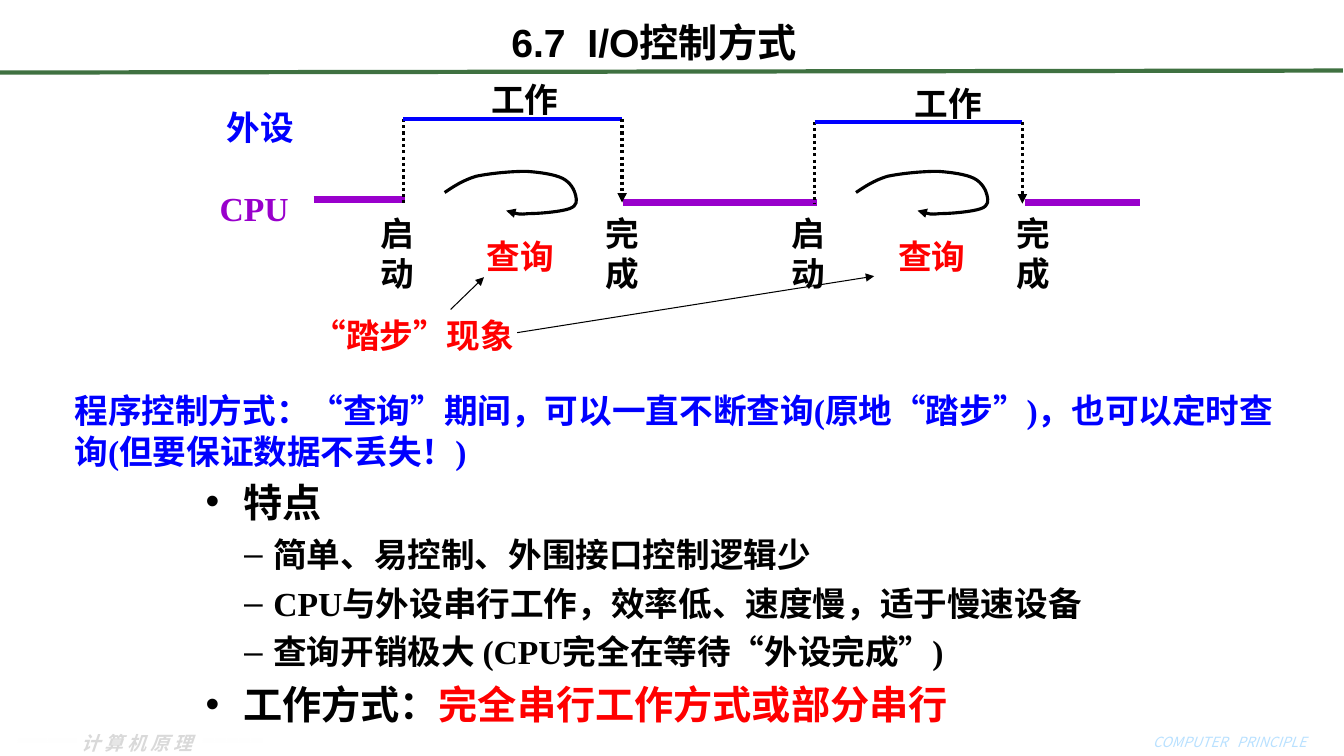
"""Build the slide on program-controlled I/O with its polling timing diagram."""
import lxml.etree
import pptx
import pptx.dml.color
import pptx.enum.dml
import pptx.enum.lang
import pptx.enum.shapes
import pptx.enum.text
import pptx.oxml.ns
import pptx.util

TITLE = "6.7  I/O控制方式"
SUMMARY = "程序控制方式：“查询”期间，可以一直不断查询(原地“踏步”)，也可以定时查询(但要保证数据不丢失！)"
FEATURES = [
    (0, [("特点", "ink")]),
    (1, [("简单、易控制、外围接口控制逻辑少", "ink")]),
    (1, [("CPU与外设串行工作，效率低、速度慢，适于慢速设备", "ink")]),
    (1, [("查询开销极大 (CPU完全在等待“外设完成”)", "ink")]),
    (0, [("工作方式：", "ink"), ("完全串行工作方式或部分串行", "alert")]),
]
LANES = [("外设", 1.92, 1.01, "device"), ("CPU", 1.86, 1.81, "cpu")]
CYCLES = [
    {"start": 4.0, "finish": 6.17, "high": 1.18, "low": 2.01, "work": (4.39, 0.73)},
    {"start": 8.08, "finish": 10.14, "high": 1.21, "low": 2.02, "work": (8.59, 0.77)},
]
CYCLE_LABELS = [
    ("启动", -0.44, 2.06, 0.76, 0.91, "ink"),
    ("查询", 0.47, 2.29, 1.38, 0.5, "alert"),
    ("完成", 1.82, 2.06, 0.7, 0.91, "ink"),
]
CPU_BUSY = [(3.11, 4.02, 1.98), (6.18, 8.1, 2.01), (10.17, 11.31, 2.01)]
POLL_LOOP = [
    (0, 0.21), (0.09, 0.15), (0.18, 0.09), (0.31, 0.05),
    (0.45, 0.02), (0.66, 0), (0.81, 0), (0.95, 0.01), (1.09, 0.03), (1.17, 0.07),
    (1.25, 0.11), (1.29, 0.19), (1.3, 0.24), (1.31, 0.29), (1.32, 0.34), (1.24, 0.37),
    (1.16, 0.4), (0.94, 0.42), (0.83, 0.42), (0.73, 0.43), (0.67, 0.41), (0.61, 0.39),
]
MARKING_TIME = "“踏步”现象"
POINTERS = [((4.47, 3.07), (4.8, 2.75)), ((5.13, 3.3), (8.67, 2.74))]
COURSE_BARS = [(2.01, False), (0.17, True)]

THEME = {
    "colours": {"ink": "000000", "alert": "FF0000", "device": "0000FF", "cpu": "9900CC",
                "rule": "3F7141", "course": "D9D9D9", "subject": "B9E1FF", "paper": "FFFFFF"},
    "sizes": {"heading": 28, "label": 24, "course": 13.5, "subject": 10},
    "weights": {"busy": 4.5, "level": 3, "edge": 2.25, "pointer": 0.75},
    "latin": "Times New Roman", "title": "Arial", "asian": "Noto Sans CJK SC",
    "leading": 1.205,
    "course_fade": [(63, "paper", 100), (85, "course", 100), (96, "paper", 100)],
    "bar_fade": [(0, "paper", 0), (100, "paper", 80)],
}
ALIGN = pptx.enum.text.PP_ALIGN
UNIT = pptx.util.Inches(1)
DOTTED = pptx.enum.dml.MSO_LINE.ROUND_DOT
qn = pptx.oxml.ns.qn


def grid(*lengths):
    return [round(length * UNIT) for length in lengths]


def colour(name):
    return pptx.dml.color.RGBColor.from_string(THEME["colours"][name])


def apply(target, formats):
    for attribute, value in formats.items():
        setattr(target, attribute, value)


def child(parent, tag, **attributes):
    return lxml.etree.SubElement(parent, qn(tag), attributes)


def fade(holder, stops, angle):
    solid = holder.find(qn("a:solidFill"))
    gradient = solid.makeelement(qn("a:gradFill"), {"rotWithShape": "1"})
    holder.replace(solid, gradient)
    ramp = child(gradient, "a:gsLst")
    for share, name, opacity in stops:
        stop = child(ramp, "a:gs", pos=str(share * 1000))
        tint = child(stop, "a:srgbClr", val=THEME["colours"][name])
        child(tint, "a:alpha", val=str(opacity * 1000))
    child(gradient, "a:lin", ang=str(angle * 60000), scaled="0")


def write(paragraph, pieces, size, latin="latin", align=ALIGN.LEFT, before=0, **style):
    points = THEME["sizes"][size]
    apply(paragraph, {"alignment": align, "space_before": pptx.util.Pt(before),
                      "line_spacing": pptx.util.Pt(round(points * THEME["leading"], 1))})
    for words, ink in pieces:
        run = paragraph.add_run()
        run.text = words
        apply(run.font, {"size": pptx.util.Pt(points), "name": THEME[latin], "bold": True,
                         "language_id": pptx.enum.lang.MSO_LANGUAGE_ID.SIMPLIFIED_CHINESE, **style})
        run.font.color.rgb = colour(ink)
        child(run.font._element, "a:ea", typeface=THEME["asian"])


def prepare(frame):
    apply(frame, {"word_wrap": True, "auto_size": pptx.enum.text.MSO_AUTO_SIZE.NONE,
                  "vertical_anchor": pptx.enum.text.MSO_ANCHOR.TOP})
    return frame


def place(placeholder, box):
    apply(placeholder, dict(zip(("left", "top", "width", "height"), grid(*box))))
    return prepare(placeholder.text_frame)


def label(slide, words, box, ink, size="label", align=ALIGN.CENTER, **style):
    frame = prepare(slide.shapes.add_textbox(*grid(*box)).text_frame)
    write(frame.paragraphs[0], [(words, ink)], size, align=align, **style)
    return frame


def stroke(outline, ink, weight, dash=None, arrow=False):
    outline.line.color.rgb = colour(ink)
    apply(outline.line, {"width": pptx.util.Pt(THEME["weights"][weight]), "dash_style": dash})
    if arrow:
        child(outline._element.spPr.find(qn("a:ln")), "a:tailEnd", type="triangle")


def connect(slide, begin, end, ink, weight, **style):
    straight = pptx.enum.shapes.MSO_CONNECTOR.STRAIGHT
    edge = slide.shapes.add_connector(straight, *grid(*begin, *end))
    stroke(edge, ink, weight, **style)
    child(edge._element.spPr, "a:effectLst")


def draw_poll(slide, left, top):
    points = [grid(left + x, top + y) for x, y in POLL_LOOP]
    builder = slide.shapes.build_freeform(*points[0])
    builder.add_line_segments(points[1:], close=False)
    poll = builder.convert_to_shape()
    poll.shadow.inherit = False
    poll.fill.background()
    stroke(poll, "ink", "edge", arrow=True)
    segments = list(poll._element.iter(qn("a:lnTo")))
    outline = segments[0].getparent()
    for first in range(0, len(segments), 3):
        bend = child(outline, "a:cubicBezTo")
        for segment in segments[first:first + 3]:
            bend.append(segment[0])
            outline.remove(segment)


def draw_cycle(slide, cycle):
    start, finish, high, low = (cycle[key] for key in ("start", "finish", "high", "low"))
    connect(slide, (start, high), (start, low), "ink", "edge", dash=DOTTED)
    connect(slide, (start, high), (finish, high), "device", "level")
    connect(slide, (finish, high), (finish, low), "ink", "edge", dash=DOTTED, arrow=True)
    for words, shift, top, width, height, ink in CYCLE_LABELS:
        label(slide, words, (start + shift, top, width, height), ink)
    label(slide, "工作", (*cycle["work"], 1.63, 0.5), "ink")
    draw_poll(slide, start + 0.41, 1.7)


def draw_footer(slide):
    label(slide, "COMPUTER   PRINCIPLE", (11.07, 7.23, 2.25, 0.27), "subject", "subject",
          latin="asian", bold=False, italic=True)
    course = label(slide, "计算机原理", (0.71, 7.21, 1.46, 0.34), "course", "course", ALIGN.LEFT,
                   latin="asian", italic=True)
    lettering = course.paragraphs[0].runs[0].font._element
    lettering.set("spc", "300")
    fade(lettering, THEME["course_fade"], 90)
    for left, mirrored in COURSE_BARS:
        rectangle = pptx.enum.shapes.MSO_SHAPE.RECTANGLE
        bar = slide.shapes.add_shape(rectangle, *grid(left, 7.33, 0.59, 0.04))
        bar.shadow.inherit = False
        bar.line.fill.background()
        bar.fill.solid()
        bar.fill.fore_color.rgb = colour("paper")
        fade(bar._element.spPr, THEME["bar_fade"], 180)
        if mirrored:
            bar._element.spPr.find(qn("a:xfrm")).set("flipH", "1")


def main():
    deck = pptx.Presentation()
    apply(deck, dict(zip(("slide_width", "slide_height"), grid(13.33, 7.5))))
    slide = deck.slides.add_slide(deck.slide_layouts[1])
    heading, features = slide.placeholders

    connect(slide, (0, 0.72), (13.32, 0.7), "rule", "level")
    draw_footer(slide)
    title = place(heading, (0.68, 0.13, 11.61, 0.57))
    write(title.paragraphs[0], [(TITLE, "ink")], "heading", "title", ALIGN.CENTER)

    body = place(features, (1.94, 4.69, 9.85, 2.35))
    for index, (level, pieces) in enumerate(FEATURES):
        paragraph = body.add_paragraph() if index else body.paragraphs[0]
        paragraph.level = level
        write(paragraph, pieces, ("heading", "label")[level], before=6)
        margin, hanging = grid(*((0.37, -0.37), (0.67, -0.29))[level])
        for key, length in {"marL": margin, "indent": hanging}.items():
            paragraph._p.get_or_add_pPr().set(key, str(length))

    for begin, end, level in CPU_BUSY:
        connect(slide, (begin, level), (end, level), "cpu", "busy")
    for words, left, top, ink in LANES:
        label(slide, words, (left, top, 1.32, 0.5), ink)
    for cycle in CYCLES:
        draw_cycle(slide, cycle)
    label(slide, MARKING_TIME, (2.32, 3.07, 3.56, 0.5), "alert")
    for begin, end in POINTERS:
        connect(slide, begin, end, "ink", "pointer", arrow=True)
    label(slide, SUMMARY, (0.64, 3.82, 12.21, 0.91), "device", align=ALIGN.LEFT)
    deck.save("out.pptx")


if __name__ == "__main__":
    main()
